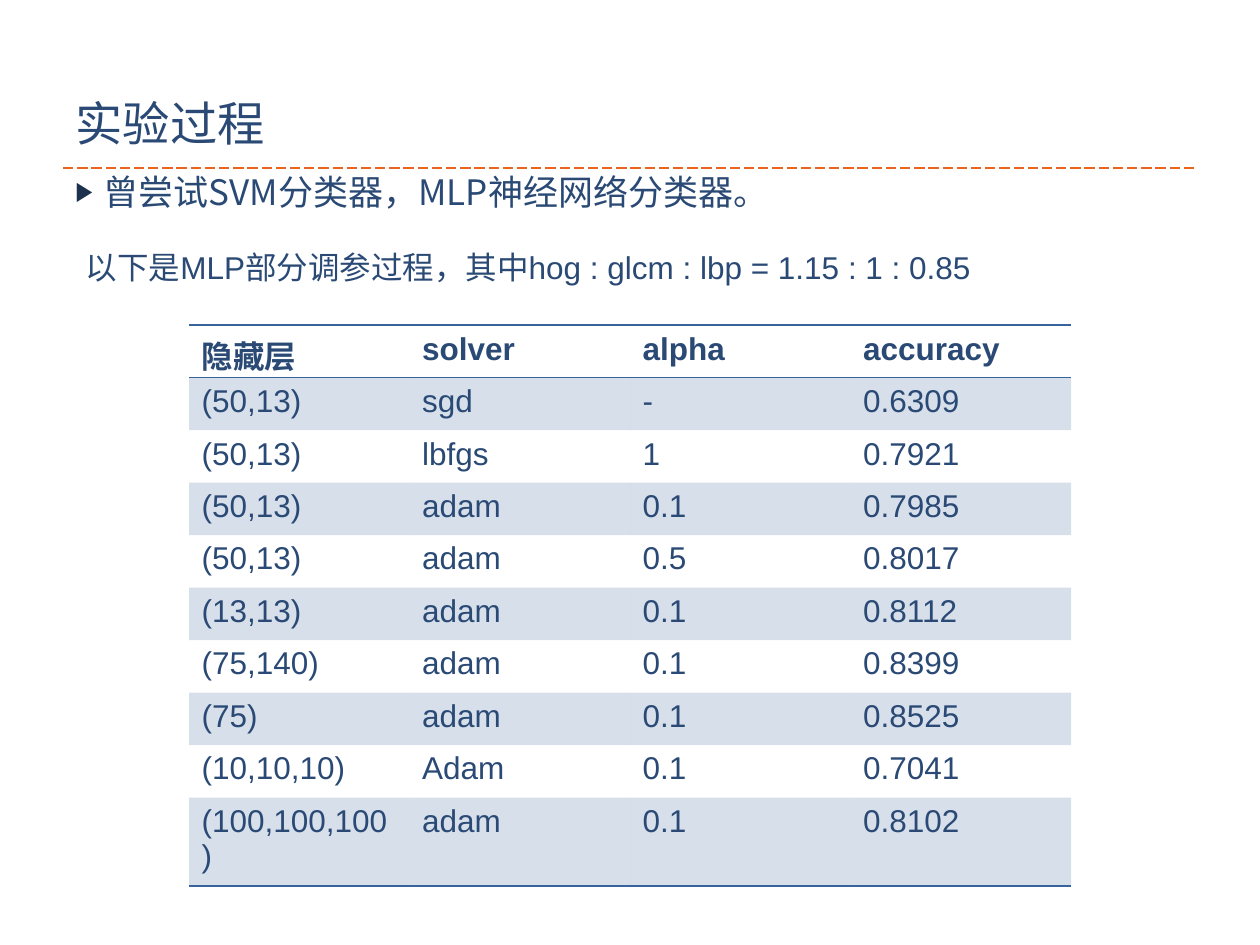
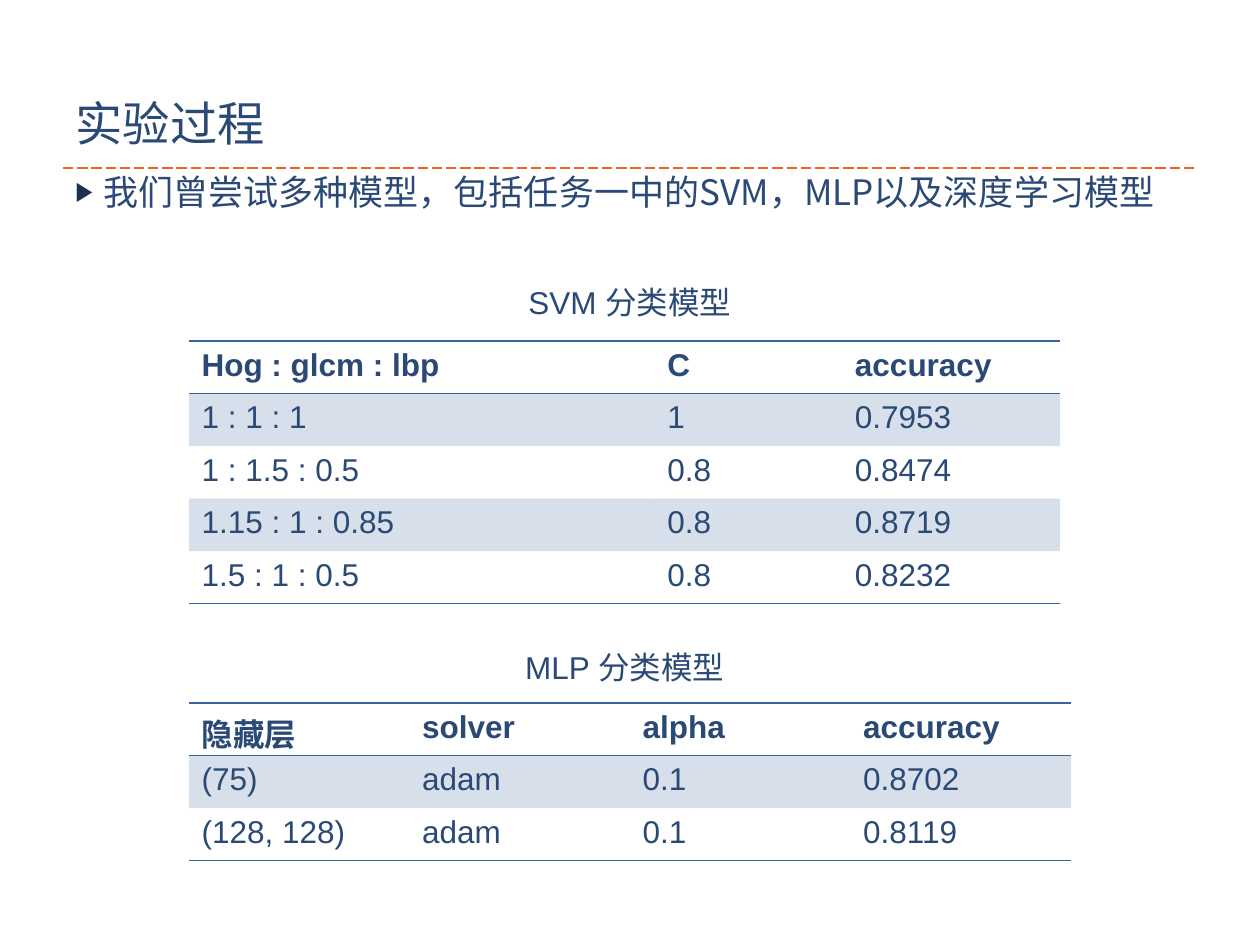
from lxml import etree
from pptx import Presentation
from pptx.dml.color import RGBColor
from pptx.enum.dml import MSO_LINE
from pptx.enum.shapes import MSO_CONNECTOR
from pptx.enum.text import MSO_ANCHOR, PP_ALIGN
from pptx.oxml.ns import qn
from pptx.util import Pt

LEFT, CENTER, JUSTIFY = PP_ALIGN.LEFT, PP_ALIGN.CENTER, PP_ALIGN.JUSTIFY
TOP, BOTTOM = MSO_ANCHOR.TOP, MSO_ANCHOR.BOTTOM
STRAIGHT = MSO_CONNECTOR.STRAIGHT
LONG_DASH = MSO_LINE.LONG_DASH

NAVY, BLUE, ORANGE, BULLET = "2A4A75", "39639D", "EB641B", "1C314E"
TITLE_FONT, BODY_FONT, TABLE_FONT = "Roboto", "Noto Sans CJK SC", "Arial"
PLAIN_TABLE_STYLE = "{2D5ABB26-0587-4C30-8999-92F81FD0307C}"
TITLE_ONLY = 5
ROW_HEIGHT = 30
CAPTION_SIZE = (186, 29)

TITLE = "实验过程"
TITLE_BOX = (36, 12, 648, 78)
MLP_HEADER = ("隐藏层", "solver", "alpha", "accuracy")
MLP_WIDTHS = (126,) * 4
MLP_TUNING = [
    MLP_HEADER,
    ("(50,13)", "sgd", "-", "0.6309"),
    ("(50,13)", "lbfgs", "1", "0.7921"),
    ("(50,13)", "adam", "0.1", "0.7985"),
    ("(50,13)", "adam", "0.5", "0.8017"),
    ("(13,13)", "adam", "0.1", "0.8112"),
    ("(75,140)", "adam", "0.1", "0.8399"),
    ("(75)", "adam", "0.1", "0.8525"),
    ("(10,10,10)", "Adam", "0.1", "0.7041"),
    ("(100,100,100)", "adam", "0.1", "0.8102"),
]
SVM_WIDTHS = (266.2, 107.2, 124.4)
SVM_RESULTS = [
    ("Hog : glcm : lbp", "C", "accuracy"),
    ("1 : 1 : 1", "1", "0.7953"),
    ("1 : 1.5 : 0.5", "0.8", "0.8474"),
    ("1.15 : 1 : 0.85", "0.8", "0.8719"),
    ("1.5 : 1 : 0.5", "0.8", "0.8232"),
]
MLP_RESULTS = [
    MLP_HEADER,
    ("(75)", "adam", "0.1", "0.8702"),
    ("(128, 128)", "adam", "0.1", "0.8119"),
]


def color(value):
    """Turn a hex string into a colour."""
    return RGBColor.from_string(value)


def points(box):
    """Convert a box of numbers to lengths in points."""
    return [Pt(value) for value in box]


def write_text(text_frame, text, size=18, font=TABLE_FONT, bold=False,
               align=LEFT, anchor=TOP):
    """Write one formatted paragraph and return it."""
    text_frame.word_wrap = True
    text_frame.vertical_anchor = anchor
    paragraph = text_frame.paragraphs[0]
    paragraph.alignment = align
    run = paragraph.add_run()
    run.text = text
    run.font.name = font
    run.font.size = Pt(size)
    run.font.bold = bold
    run.font.color.rgb = color(NAVY)
    return paragraph


def add_text(slide, box, text, **text_format):
    """Add a wrapping text box."""
    text_box = slide.shapes.add_textbox(*points(box))
    write_text(text_box.text_frame, text, **text_format)
    return text_box


def add_bullet(slide, box, text):
    """Add a justified line with a triangle bullet."""
    text_frame = slide.shapes.add_textbox(*points(box)).text_frame
    text_frame.margin_top = Pt(6)
    paragraph = write_text(text_frame, text, size=20, font=BODY_FONT,
                           align=JUSTIFY)
    paragraph.line_spacing = 0.8
    properties = paragraph._p.get_or_add_pPr()
    properties.set("marL", str(Pt(16)))
    properties.set("indent", str(Pt(-16)))
    bullet_color = etree.SubElement(properties, qn("a:buClr"))
    etree.SubElement(bullet_color, qn("a:srgbClr"), val=BULLET)
    etree.SubElement(properties, qn("a:buSzPct"), val="76000")
    etree.SubElement(properties, qn("a:buFont"), typeface=TABLE_FONT)
    etree.SubElement(properties, qn("a:buChar"), char="▶")


def add_border(cell, side):
    """Draw a blue line on one side of a cell."""
    line = etree.SubElement(cell._tc.get_or_add_tcPr(), qn(f"a:{side}"),
                            w=str(Pt(1)))
    fill = etree.SubElement(line, qn("a:solidFill"))
    etree.SubElement(fill, qn("a:srgbClr"), val=BLUE)


def shade_cell(cell):
    """Fill a cell with translucent blue."""
    cell.fill.solid()
    cell.fill.fore_color.rgb = color(BLUE)
    fill_color = cell._tc.tcPr.find(qn("a:solidFill")).find(qn("a:srgbClr"))
    etree.SubElement(fill_color, qn("a:alpha"), val="20000")


def add_result_table(slide, left, top, widths, rows):
    """Add a table with ruled header, ruled end and shaded odd rows."""
    box = points((left, top, sum(widths), ROW_HEIGHT * len(rows)))
    frame = slide.shapes.add_table(len(rows), len(widths), *box)
    next(frame.element.iter(qn("a:tableStyleId"))).text = PLAIN_TABLE_STYLE
    table = frame.table
    table.horz_banding = False
    for column, width in zip(table.columns, widths):
        column.width = Pt(width)
    for row_index, row in enumerate(rows):
        is_header = row_index == 0
        table.rows[row_index].height = Pt(ROW_HEIGHT)
        for column_index, value in enumerate(row):
            cell = table.cell(row_index, column_index)
            write_text(cell.text_frame, value, bold=is_header)
            if is_header:
                add_border(cell, "lnT")
            if is_header or row_index == len(rows) - 1:
                add_border(cell, "lnB")
            if row_index % 2:
                shade_cell(cell)
            else:
                cell.fill.background()


def add_titled_slide(presentation, box):
    """Add a slide with the shared title above a dashed rule."""
    slide = presentation.slides.add_slide(
        presentation.slide_layouts[TITLE_ONLY])
    left, top, width, height = box
    title = slide.shapes.title
    title.left, title.top, title.width, title.height = points(box)
    write_text(title.text_frame, TITLE, size=27, font=TITLE_FONT,
               anchor=BOTTOM)
    rule_top = top + height + 6
    rule = slide.shapes.add_connector(
        STRAIGHT, *points((left, rule_top, left + width, rule_top)))
    rule.line.color.rgb = color(ORANGE)
    rule.line.width = Pt(0.75)
    rule.line.dash_style = LONG_DASH
    etree.SubElement(rule.element.spPr, qn("a:effectLst"))
    return slide


def add_captioned_table(slide, left, top, caption, caption_left, gap,
                        widths, rows):
    """Add a centred caption with a result table below it."""
    add_result_table(slide, left, top + gap, widths, rows)
    add_text(slide, (left + caption_left, top, *CAPTION_SIZE), caption,
             align=CENTER)


def build_tuning_slide(presentation):
    """Build the slide on tuning the MLP."""
    slide = add_titled_slide(presentation, TITLE_BOX)
    add_bullet(slide, (36, 96, 648, 42),
               "曾尝试SVM分类器，MLP神经网络分类器。")
    add_result_table(slide, 108, 185.8, MLP_WIDTHS, MLP_TUNING)
    add_text(slide, (42, 138, 570, 29),
             "以下是MLP部分调参过程，其中hog : glcm : lbp = 1.15 : 1 : 0.85")


def build_comparison_slide(presentation):
    """Build the slide on the SVM and MLP results."""
    slide = add_titled_slide(presentation, TITLE_BOX)
    add_bullet(slide, (36, 96, 648, 389),
               "我们曾尝试多种模型，包括任务一中的SVM，MLP以及深度学习模型")
    add_captioned_table(slide, 108, 158.4, "SVM 分类模型", 159, 36.6,
                        SVM_WIDTHS, SVM_RESULTS)
    add_captioned_table(slide, 108, 367, "MLP 分类模型", 156, 34.8,
                        MLP_WIDTHS, MLP_RESULTS)


def main():
    """Build and save the presentation."""
    presentation = Presentation()
    presentation.slide_width, presentation.slide_height = Pt(720), Pt(540)
    build_tuning_slide(presentation)
    build_comparison_slide(presentation)
    presentation.save("out.pptx")


if __name__ == "__main__":
    main()
